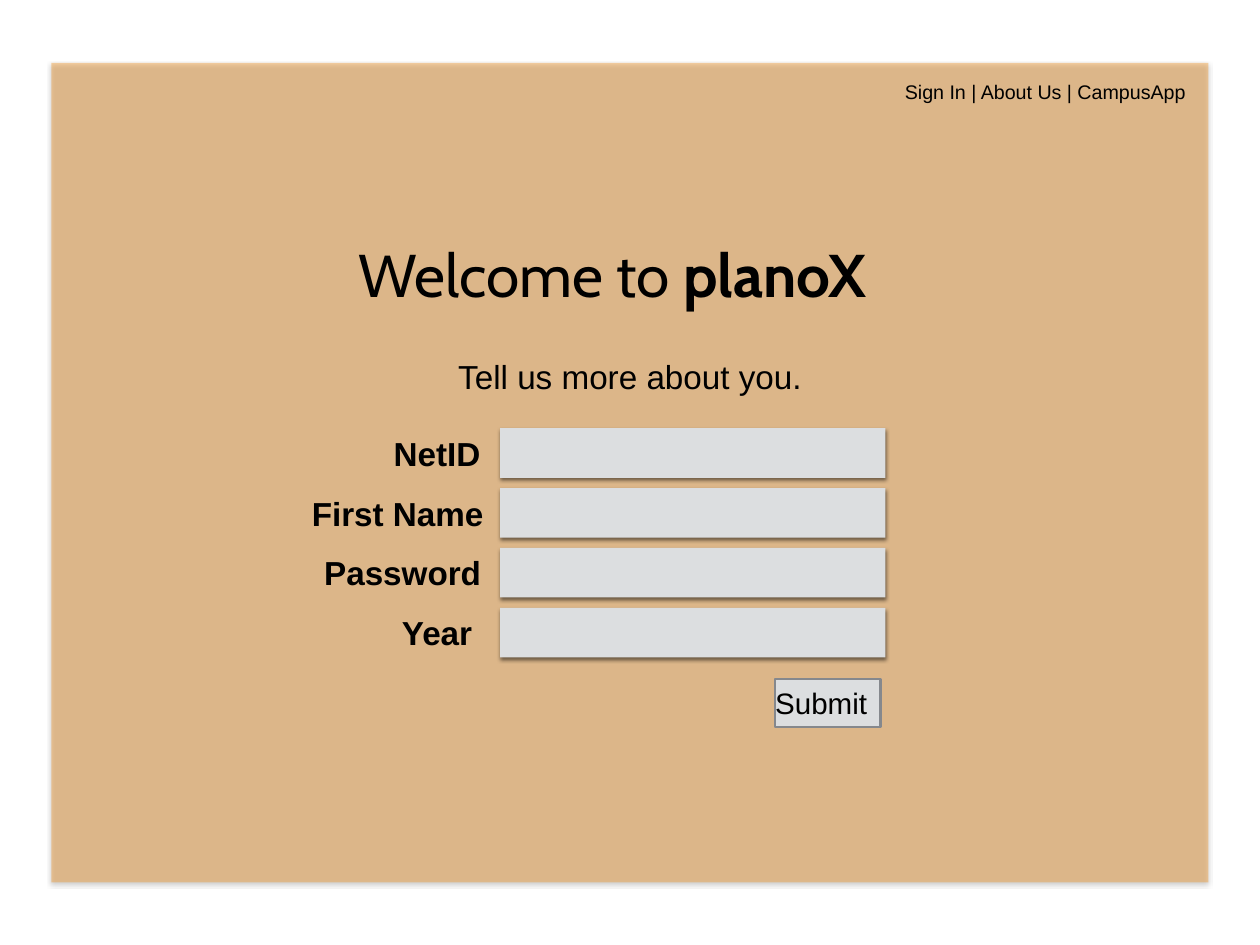
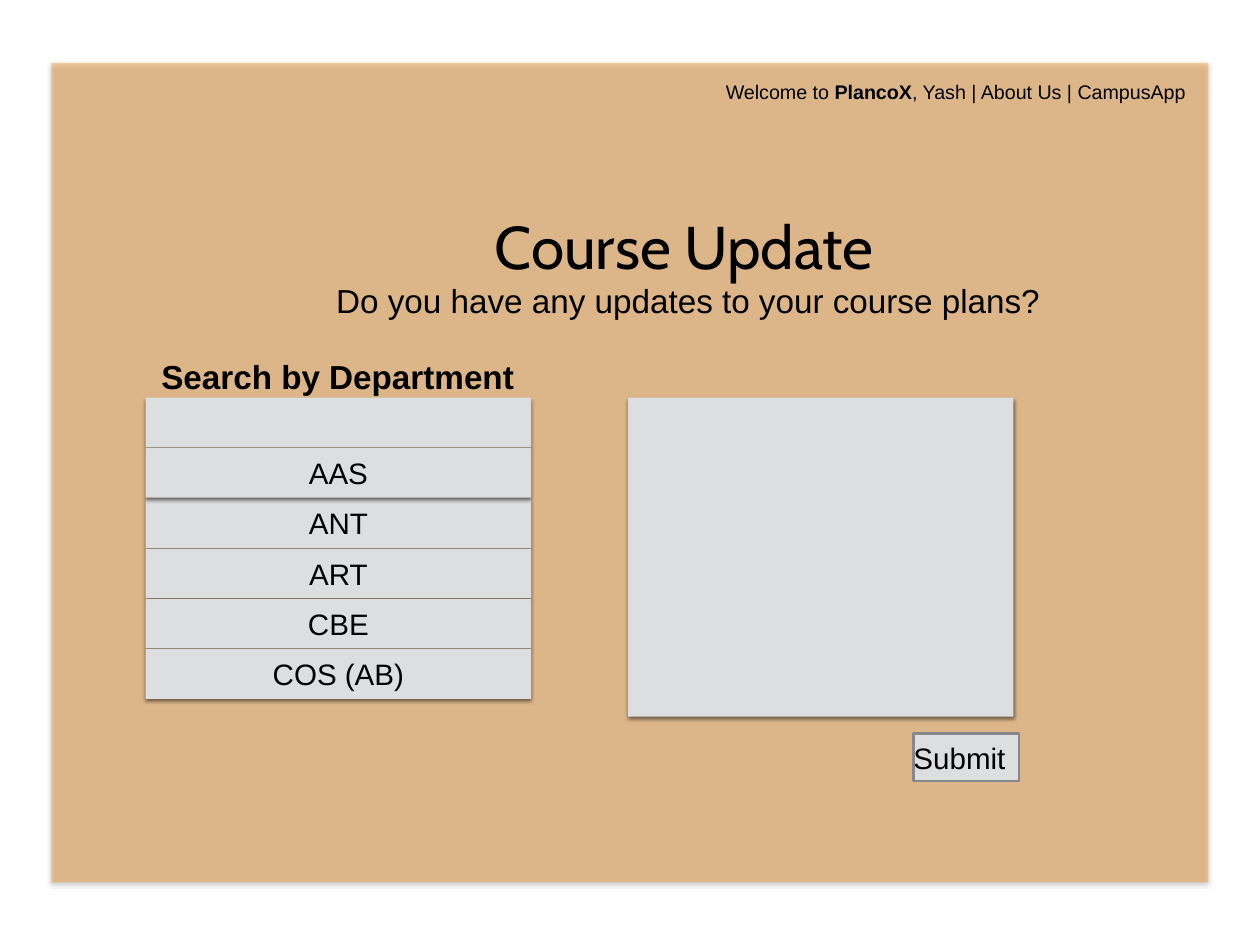
from dataclasses import dataclass

from lxml.etree import SubElement
from pptx import Presentation
from pptx.dml.color import RGBColor
from pptx.enum.shapes import MSO_SHAPE as Preset
from pptx.enum.text import MSO_ANCHOR as Anchor, MSO_AUTO_SIZE as AutoSize, PP_ALIGN as Align
from pptx.oxml.ns import qn
from pptx.util import Inches, Pt


@dataclass(frozen=True)
class Theme:
    """Colours, fonts and type sizes shared by all screens."""
    panel: RGBColor = RGBColor.from_string("F39019")
    panel_alpha: int = 38
    field: RGBColor = RGBColor.from_string("DCDEE0")
    border: RGBColor = RGBColor.from_string("85888D")
    ink: RGBColor = RGBColor.from_string("000000")
    title_font: str = "Cabin"
    body_font: str = "Arial"
    title_size: int = 49
    body_size: int = 27
    entry_size: int = 24
    nav_size: int = 16


class Screen:
    """Draws web-page screens on a grid of 128 columns by 96 rows."""
    COLUMNS, ROWS = 128, 96
    FIELD_WIDTH, FIELD_HEIGHT = 39.15, 5.04

    def __init__(self, theme):
        self.theme = theme
        self.deck = Presentation()
        self.deck.slide_width, self.deck.slide_height = Inches(14.22), Inches(10.67)
        self.slide = None

    def place(self, left, top, width, height):
        """Turn grid columns and rows into slide lengths."""
        column = self.deck.slide_width / self.COLUMNS
        row = self.deck.slide_height / self.ROWS
        return round(left * column), round(top * row), round(width * column), round(height * row)

    def start(self, title, title_at, subtitle, subtitle_at, navigation):
        """Open a screen with its panel, title, subtitle and navigation."""
        self.slide = self.deck.slides.add_slide(self.deck.slide_layouts[0])
        panel = self.rectangle(5.22, 6.39, 117.54, 83.25, self.theme.panel)
        tint = panel._element.spPr.find(qn("a:solidFill"))[0]
        SubElement(tint, qn("a:alpha"), val=str(self.theme.panel_alpha * 1000))
        self.slide.shapes._spTree.insert(2, panel._element)
        heading, lead = self.slide.placeholders
        for holder, words, (centre, top), height, size, font in (
            (heading, title, title_at, 8.37, self.theme.title_size, self.theme.title_font),
            (lead, subtitle, subtitle_at, 5.04, self.theme.body_size, self.theme.body_font),
        ):
            holder.left, holder.top, holder.width, holder.height = self.place(
                centre - 40, top, 80, height)
            self.set_line(holder, words, size, font=font)
        self.free_text(navigation, 61, 7.56, 60, 3.42, self.theme.nav_size, align=Align.RIGHT)

    def set_line(self, shape, words, size, bold=False, align=Align.CENTER, inset=0.06, font=None):
        """Fill a shape with one line, where *stars* mark bold words."""
        frame = shape.text_frame
        frame.word_wrap = True
        frame.auto_size = AutoSize.NONE
        frame.vertical_anchor = Anchor.MIDDLE
        frame.margin_left = frame.margin_right = Inches(inset)
        frame.margin_top = frame.margin_bottom = Inches(inset)
        line = frame.paragraphs[0]
        line.alignment = align
        line.space_before = Pt(0)
        line.font.name = font or self.theme.body_font
        line.font.size = Pt(size)
        line.font.bold = bold
        line.font.color.rgb = self.theme.ink
        for number, piece in enumerate(words.split("*")):
            if piece:
                run = line.add_run()
                run.text = piece
                if number % 2:
                    run.font.bold = True

    def free_text(self, words, left, top, width, height, size, bold=False, align=Align.CENTER):
        """Add a line of free text."""
        box = self.slide.shapes.add_textbox(*self.place(left, top, width, height))
        self.set_line(box, words, size, bold, align)

    def label(self, words, centre, top):
        """Add a bold label around a centre column."""
        self.free_text(words, centre - 20, top, 40, self.FIELD_HEIGHT, self.theme.body_size,
                       bold=True)

    def rectangle(self, left, top, width, height, colour, shadow=True):
        """Add a borderless rectangle, with a soft shadow if wanted."""
        area = self.slide.shapes.add_shape(
            Preset.RECTANGLE, *self.place(left, top, width, height))
        area.fill.solid()
        area.fill.fore_color.rgb = colour
        area.line.fill.background()
        area.shadow.inherit = False
        if shadow:
            effects = area._element.spPr.find(qn("a:effectLst"))
            drop = SubElement(effects, qn("a:outerShdw"), blurRad=str(Pt(3)), dist=str(Pt(2)),
                              dir="5400000", rotWithShape="0")
            shade = SubElement(drop, qn("a:srgbClr"), val="000000")
            SubElement(shade, qn("a:alpha"), val="50000")
        return area

    def field(self, left, top, entry="", height=FIELD_HEIGHT):
        """Add an input field, holding an entry if given."""
        area = self.rectangle(left, top, self.FIELD_WIDTH, height, self.theme.field)
        if entry:
            self.set_line(area, entry, self.theme.entry_size, inset=0)

    def button(self, caption, left, top):
        """Add a bordered button."""
        area = self.rectangle(left, top, 10.7, 4.86, self.theme.field, shadow=False)
        area.line.color.rgb = self.theme.border
        area.line.width = Pt(2)
        self.set_line(area, caption, self.theme.entry_size, align=Align.LEFT, inset=0)


def sign_up(screen):
    """Build the registration form."""
    screen.start("Welcome to *planoX*", (62.2, 23.6), "Tell us more about you.", (64, 35.7),
                 "Sign In | About Us | CampusApp")
    questions = (("NetID", 44.4), ("First Name", 40.4), ("Password", 40.9), ("Year", 44.4))
    for row, (question, centre) in enumerate(questions):
        top = 43.5 + row * 6.08
        screen.label(question, centre, top)
        screen.field(50.8, top)
    screen.button("Submit", 78.75, 69)


def course_update(screen):
    """Build the department search."""
    screen.start("Course Update", (69.5, 20.7),
                 "Do you have any updates to your course plans?", (69.9, 28),
                 "Welcome to *PlancoX*, Yash | About Us | CampusApp")
    first_row = 40.4
    screen.label("Search by Department", 34.3, 35.7)
    departments = ((0, ""), (2, "ANT"), (3, "ART"), (4, "CBE"), (5, "COS (AB)"), (1, "AAS"))
    for row, department in departments:
        screen.field(14.8, first_row + row * 5.11, department)
    screen.field(63.8, first_row, height=32.4)
    screen.button("Submit", 92.8, 74.5)


def main():
    """Build and save both screens."""
    screen = Screen(Theme())
    sign_up(screen)
    course_update(screen)
    screen.deck.save("out.pptx")


if __name__ == "__main__":
    main()
